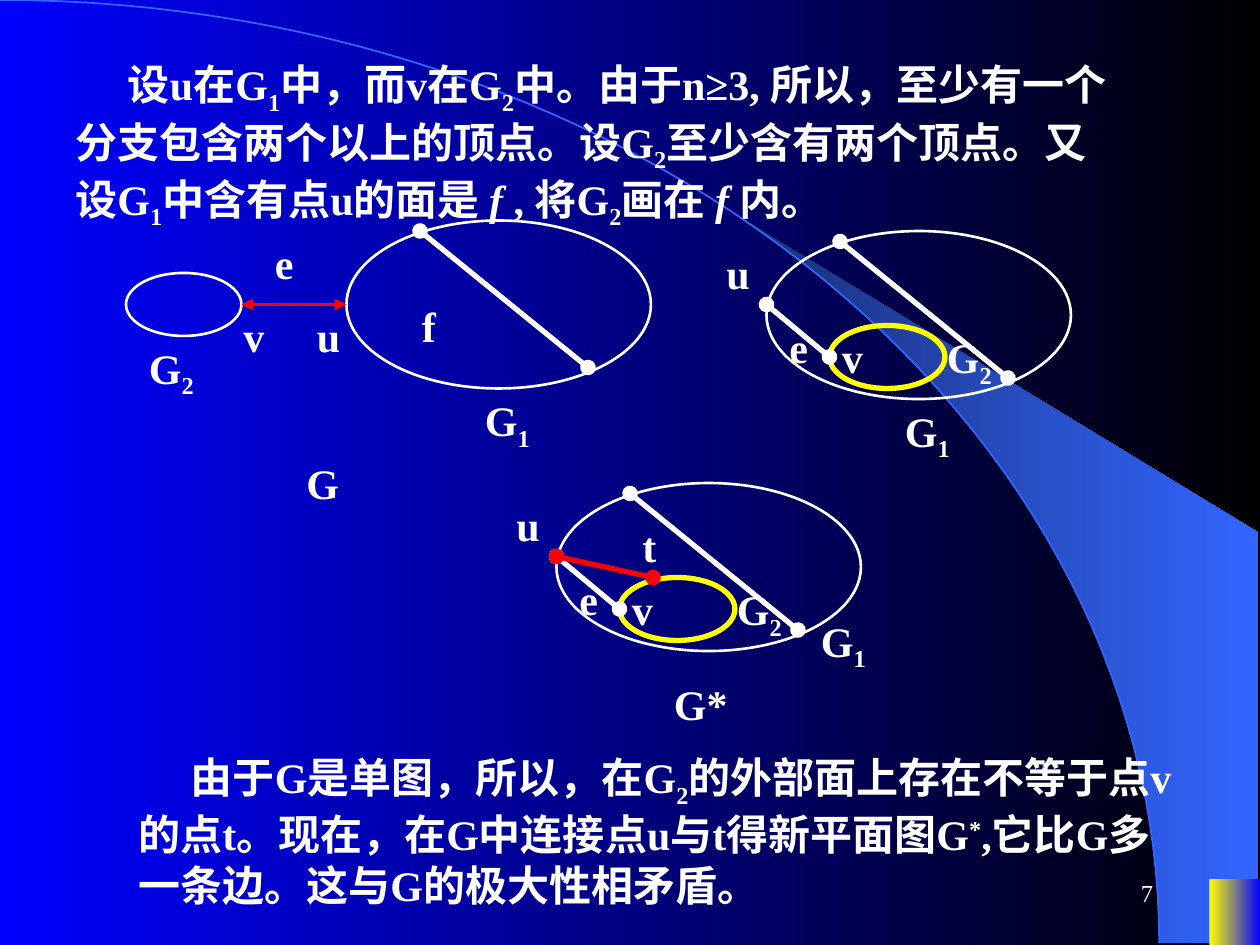
from dataclasses import dataclass
from math import asin, cos, pi, sin
from typing import NamedTuple

from lxml.etree import SubElement
from pptx import Presentation
from pptx.dml.color import RGBColor
from pptx.enum.lang import MSO_LANGUAGE_ID as Language
from pptx.enum.shapes import MSO_CONNECTOR as Connector, MSO_SHAPE as Shape
from pptx.enum.text import MSO_ANCHOR as Anchor, PP_ALIGN as Align
from pptx.oxml.ns import qn
from pptx.util import Cm, Pt

WHITE, RED, YELLOW = "FFFFFF", "FF0000", "FFFF00"
BLUE, BLACK, SKY, NAVY = "0000FF", "000000", "3366FF", "182F76"
SUB, SUPER = -25, 30
ARC_WIDTH, ARC_HEIGHT = 23.37, 19.02


class Span(NamedTuple):
    text: str
    base: int = 0
    italic: bool = False


ONE, TWO = Span("1", SUB), Span("2", SUB)
FACE = Span("f ", italic=True)


@dataclass
class Label:
    x: float
    y: float
    spans: list[Span]
    width: float = 6.25


@dataclass
class Ellipse:
    x: float
    y: float
    width: float
    height: float
    colour: str = WHITE
    weight: float = 1.5


@dataclass
class Edge:
    start: tuple[float, float]
    end: tuple[float, float]
    colour: str = WHITE
    weight: float = 3
    ends: str = "oval"


def grid(steps: float) -> Cm:
    """The drawing sits on a grid of twelve steps to the inch."""
    return Cm(steps * 2.54 / 12)


def rgb(colour: str) -> RGBColor:
    return RGBColor.from_string(colour)


def fill_gradient(fill, first: str, last: str) -> None:
    fill.gradient()
    fill.gradient_angle = 0
    for stop, colour in zip(fill.gradient_stops, (first, last)):
        stop.color.rgb = rgb(colour)


def set_line(line, colour: str, weight: float) -> None:
    line.color.rgb = rgb(colour)
    line.width = Pt(weight)


def add_text(page, x: float, y: float, width: float, height: float, spans: list[Span],
             size: float = 24, bold: bool = True, indent: Cm = Cm(0)):
    box = page.shapes.add_textbox(grid(x), grid(y), grid(width), grid(height))
    box.text_frame.word_wrap = True
    para = box.text_frame.paragraphs[0]
    if indent:
        para._p.get_or_add_pPr().set("indent", str(int(indent)))
    for item in spans:
        span = para.add_run()
        span.text = item.text
        font = span.font
        font.name, font.size, font.bold = "Times New Roman", Pt(size), bold
        font.color.rgb = rgb(WHITE)
        font.language_id = Language.SIMPLIFIED_CHINESE
        if item.italic:
            font.italic = True
        if item.base:
            span._r.get_or_add_rPr().set("baseline", str(item.base * 1000))
    return box


def add_label(page, label: Label, dx: float = 0, dy: float = 0) -> None:
    height = 6.75 if len(label.spans) > 1 else 6
    add_text(page, label.x + dx, label.y + dy, label.width, height, label.spans)


def add_ellipse(page, item: Ellipse, dx: float = 0, dy: float = 0) -> None:
    shape = page.shapes.add_shape(Shape.OVAL, grid(item.x + dx), grid(item.y + dy),
                                  grid(item.width), grid(item.height))
    shape.shadow.inherit = False
    shape.fill.background()
    set_line(shape.line, item.colour, item.weight)


def add_edge(page, edge: Edge, dx: float = 0, dy: float = 0) -> None:
    (x1, y1), (x2, y2) = edge.start, edge.end
    line = page.shapes.add_connector(Connector.STRAIGHT, grid(x1 + dx), grid(y1 + dy),
                                     grid(x2 + dx), grid(y2 + dy))
    set_line(line.line, edge.colour, edge.weight)
    for tag in ("a:headEnd", "a:tailEnd"):
        SubElement(line.line._get_or_add_ln(), qn(tag)).set("type", edge.ends)
    SubElement(line._element.spPr, qn("a:effectLst"))


def add_figure(page, parts: list, dx: float = 0, dy: float = 0) -> None:
    draw = {Ellipse: add_ellipse, Label: add_label, Edge: add_edge}
    for part in parts:
        draw[type(part)](page, part, dx, dy)


def arc_points(start: float, steps: int = 60) -> list[tuple[int, int]]:
    """Points on the quarter ellipse, from the start angle to its right end."""
    angles = [start + (pi / 2 - start) * i / steps for i in range(steps + 1)]
    return [(Cm(ARC_WIDTH * sin(a)), Cm(ARC_HEIGHT * (1 - cos(a)))) for a in angles]


def add_outline(page, points: list[tuple[int, int]], close: bool):
    builder = page.shapes.build_freeform(*points[0], scale=1.0)
    builder.add_line_segments(points[1:], close=close)
    shape = builder.convert_to_shape()
    shape.shadow.inherit = False
    return shape


def add_backdrop(page) -> None:
    fill_gradient(page.background.fill, BLUE, BLACK)
    # Beam below the arc
    corners = [(Cm(25.37), Cm(ARC_HEIGHT)), (Cm(25.37), Cm(10.74))]
    beam = add_outline(page, corners + arc_points(asin(0.64)), True)
    fill_gradient(beam.fill, NAVY, SKY)
    beam.line.fill.background()
    # Arc
    arc = add_outline(page, arc_points(0), False)
    arc.fill.background()
    set_line(arc.line, SKY, 1)
    # Corner block
    block = page.shapes.add_shape(Shape.RECTANGLE, Cm(24.38), Cm(17.73), Cm(1.02), Cm(1.32))
    block.shadow.inherit = False
    fill_gradient(block.fill, YELLOW, BLUE)
    block.line.fill.background()


INTRO = [Span("设u在G"), ONE, Span("中，而v在G"), TWO,
         Span("中。由于n≥3, 所以，至少有一个分支包含两个以上的顶点。设G"), TWO,
         Span("至少含有两个顶点。又设G"), ONE, Span("中含有点u的面是 "), FACE,
         Span(", 将G"), TWO, Span("画在 "), FACE, Span("内。")]
CLOSING = [Span("由于G是单图，所以，在G"), TWO,
           Span("的外部面上存在不等于点v的点t。现在，在G中连接点u与t得新平面图G"),
           Span("*", SUPER), Span(",它比G多一条边。这与G的极大性相矛盾。")]
G1, G2 = [Span("G"), ONE], [Span("G"), TWO]

# G1 with its chord, measured from the corner of its ellipse
OUTER = [Ellipse(0, 0, 29, 16), Edge((7, 1), (23, 14))]
# G2 drawn inside G1
NESTED = [Ellipse(6, 9, 11, 6, YELLOW, 3), *OUTER,
          Label(6, 9, [Span("v")]), Label(-5, 1, [Span("u")]), Label(1, 8, [Span("e")]),
          Label(16, 9, G2, 8), Edge((0, 7), (6, 12))]
# G2 beside G1
SEPARATE = [Ellipse(12, 26, 11, 6), Edge((23, 29), (33, 29), RED, 2.25, "triangle"),
            Label(29, 29, [Span("u")]), Label(22, 29, [Span("v")]),
            Label(25, 22, [Span("e")]), Label(39, 28, [Span("f")]),
            Label(45, 37, G1, 8), Label(13, 32, G2, 8), Label(28, 43, [Span("G")], 8)]
# The new edge from u to t
NEW_EDGE = [Label(77, 58, G1, 8), Edge((53, 53), (62.2, 55), RED),
            Label(60, 49, [Span("t")]), Label(63, 64, [Span("G*")], 9)]


def main() -> None:
    deck = Presentation()
    deck.slide_width, deck.slide_height = Cm(25.4), Cm(19.05)
    page = deck.slides.add_slide(deck.slide_layouts[6])
    add_backdrop(page)

    # Page number
    number = add_text(page, 86, 82, 25, 6, [Span("7")], size=14, bold=False)
    number.text_frame.vertical_anchor = Anchor.MIDDLE
    number.text_frame.paragraphs[0].alignment = Align.RIGHT

    # Proof text
    add_text(page, 6, 5, 101, 17.6, INTRO, indent=Cm(1.06))
    add_text(page, 12, 71, 101, 16.3, CLOSING, indent=Cm(1.06))

    # Graphs
    add_figure(page, NESTED, 73, 22)
    add_label(page, Label(85, 38, G1, 8))
    add_figure(page, OUTER, 33, 21)
    add_figure(page, SEPARATE)
    add_figure(page, NESTED, 53, 46)
    add_figure(page, NEW_EDGE)

    deck.save("out.pptx")


if __name__ == "__main__":
    main()
